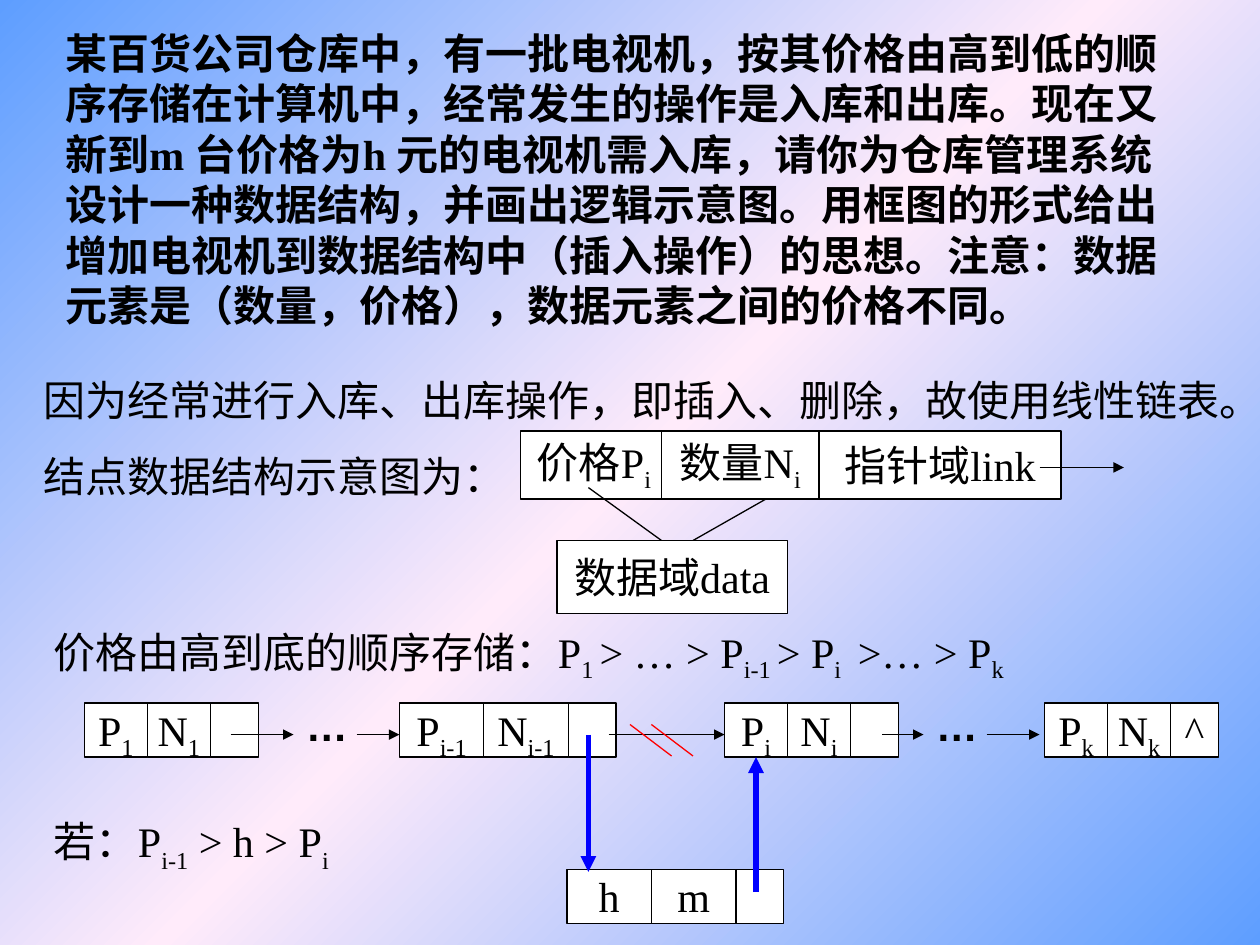
from copy import deepcopy
from dataclasses import dataclass
from pptx import Presentation
from pptx.dml.color import RGBColor as RGB
from pptx.enum.shapes import MSO_CONNECTOR as Conn, MSO_SHAPE as Kind
from pptx.enum.text import MSO_ANCHOR as Anchor, PP_ALIGN as Align
from pptx.oxml.ns import qn
from pptx.oxml.xmlchemy import OxmlElement as Node
from pptx.util import Inches, Pt


@dataclass(frozen=True)
class Theme:
    ink: RGB = RGB(0, 0, 0)
    paper: RGB = RGB(255, 255, 255)
    cut: RGB = RGB(255, 0, 0)
    link: RGB = RGB(0, 0, 255)
    edge: RGB = RGB(0x5E, 0x9E, 0xFF)
    glow: RGB = RGB(0xFF, 0xEB, 0xFA)
    size: Pt = Pt(24)
    gap: Pt = Pt(15)
    thin: Pt = Pt(0.75)
    thick: Pt = Pt(3)
    face: str = "Times New Roman"
    sans: str = "Arial"


T = Theme()
HIGH, TAIL = 0.43, 0.38


def write(para, parts, bold=False, face=T.face, drop=-25):
    for i, part in enumerate(parts):
        run = para.add_run()
        run.text = part
        font = run.font
        font.size, font.name, font.bold = T.size, face, bold
        font.color.rgb = T.ink
        if i % 2:
            font._element.set("baseline", str(drop * 1000))


def note(slide, x, y, w, h, *paras, **style):
    frame = slide.shapes.add_textbox(
        Inches(x), Inches(y), Inches(w), Inches(h)).text_frame
    frame.word_wrap = True
    for i, parts in enumerate(paras):
        para = frame.add_paragraph() if i else frame.paragraphs[0]
        if i:
            para.space_before = T.gap
        write(para, parts, **style)


def cell(slide, x, y, w, h, parts, anchor=Anchor.TOP):
    box = slide.shapes.add_shape(
        Kind.RECTANGLE, Inches(x), Inches(y), Inches(w), Inches(h))
    box.shadow.inherit = False
    box.fill.solid()
    box.fill.fore_color.rgb = T.paper
    box.line.color.rgb = T.ink
    box.line.width = T.thin
    frame = box.text_frame
    frame.word_wrap = False
    frame.vertical_anchor = anchor
    frame.margin_left = frame.margin_right = Inches(0.06)
    frame.margin_top = frame.margin_bottom = Inches(0.01)
    if parts:
        frame.paragraphs[0].alignment = Align.CENTER
        write(frame.paragraphs[0], parts)
    return box


def line(slide, x1, y1, x2, y2, color=T.ink, width=T.thin, head=False):
    wire = slide.shapes.add_connector(
        Conn.STRAIGHT, Inches(x1), Inches(y1), Inches(x2), Inches(y2))
    wire.line.color.rgb = color
    wire.line.width = width
    if head:
        tip = Node("a:tailEnd")
        tip.set("type", "triangle")
        wire.line._get_or_add_ln().append(tip)
    wire._element.spPr.append(Node("a:effectLst"))
    return wire


def node(slide, x, y, w, left, right, last=()):
    first = cell(slide, x, y, w, HIGH, left)
    cell(slide, x + w, y, w, HIGH, right)
    cell(slide, x + 2 * w, y, TAIL, HIGH, last)
    return first


def paint(slide):
    fill = slide.background.fill
    fill.gradient()
    fill.gradient_angle = 135
    stop = next(slide._element.iter(qn("a:gs")))
    stop.addnext(deepcopy(stop))
    for stop, tint, pos in zip(fill.gradient_stops,
                               (T.edge, T.glow, T.edge), (0, 0.5, 1)):
        stop.color.rgb = tint
        stop.position = pos


def task(slide, x, y):
    note(slide, x, y, 9.08, 2.5, [
        "某百货公司仓库中，有一批电视机，按其价格由高到低的顺序存储在计算机中，"
        "经常发生的操作是入库和出库。现在又新到m 台价格为h 元的电视机需入库，"
        "请你为仓库管理系统设计一种数据结构，并画出逻辑示意图。"
        "用框图的形式给出增加电视机到数据结构中（插入操作）的思想。"
        "注意：数据元素是（数量，价格），数据元素之间的价格不同。"], bold=True)


def layout(slide, x, y):
    note(slide, x, y, 9.58, 1.11,
         ["因为经常进行入库、出库操作，即插入、删除，故使用线性链表。"],
         ["结点数据结构示意图为："])
    top = y + 0.5
    for dx, w, parts in ((3.88, 1.17, ("价格P", "i")),
                         (5, 1.25, ("数量N", "i")),
                         (6.25, 1.92, ("指针域link",))):
        cell(slide, x + dx, top, w, 0.54, parts, Anchor.MIDDLE)
    line(slide, x + 8, y + 0.79, x + 8.67, y + 0.79, head=True)
    base = y + 1.37
    line(slide, x + 4.42, y + 0.95, x + 5, base)
    line(slide, x + 5.83, y + 1.04, x + 5.25, base)
    cell(slide, x + 4.17, base, 1.83, 0.58, ["数据域data"], Anchor.MIDDLE)


def chain(slide, x, y):
    note(slide, x, y, 9.33, 0.56, [
        "价格由高到底的顺序存储：P", "1 ", "> … > P", "i-1 ", "> P", "i ",
        " >… > P", "k"])
    row, mid = y + 0.66, y + 0.91
    heads = {}
    for dx, w, key, last in ((0.34, 0.5, "1", ()), (2.84, 0.67, "i-1", ()),
                             (5.42, 0.5, "i", ()), (7.96, 0.5, "k", ("^",))):
        heads[key] = node(slide, x + dx, row, w, ("P", key), ("N", key), last)
    for dx in (2, 7):
        note(slide, x + dx, y + 0.58, 0.5, HIGH, ["…"], bold=True, face=T.sans)
    for start, end in ((1.5, 2), (2.5, 2.84), (4.5, 5.42), (6.67, 7), (7.5, 7.92)):
        line(slide, x + start, mid, x + end, mid, head=True)
    return heads["i"]


def insert(slide, x, y, after):
    note(slide, x, y, 3.83, 0.57, ["若：P", "i-1", " > h > P", "i"], drop=-30)
    node(slide, x + 4.17, y + 0.48, 0.67, ["h"], ["m"])
    for dx in (4.67, 4.84):
        line(slide, x + dx, y - 0.67, x + dx + 0.33, y - 0.42, T.cut)
    up = line(slide, x + 5.67, y + 0.66, x + 5.67, y - 0.42,
              T.link, T.thick, True)
    up.end_connect(after, 2)
    line(slide, x + 4.34, y - 0.59, x + 4.34, y + 0.5, T.link, T.thick, True)


def main():
    deck = Presentation()
    deck.slide_width, deck.slide_height = Inches(10), Inches(7.5)
    slide = deck.slides.add_slide(deck.slide_layouts[6])
    paint(slide)
    task(slide, 0.42, 0.17)
    layout(slide, 0.25, 2.92)
    after = chain(slide, 0.33, 4.92)
    insert(slide, 0.33, 6.42, after)
    deck.save("out.pptx")


if __name__ == "__main__":
    main()
